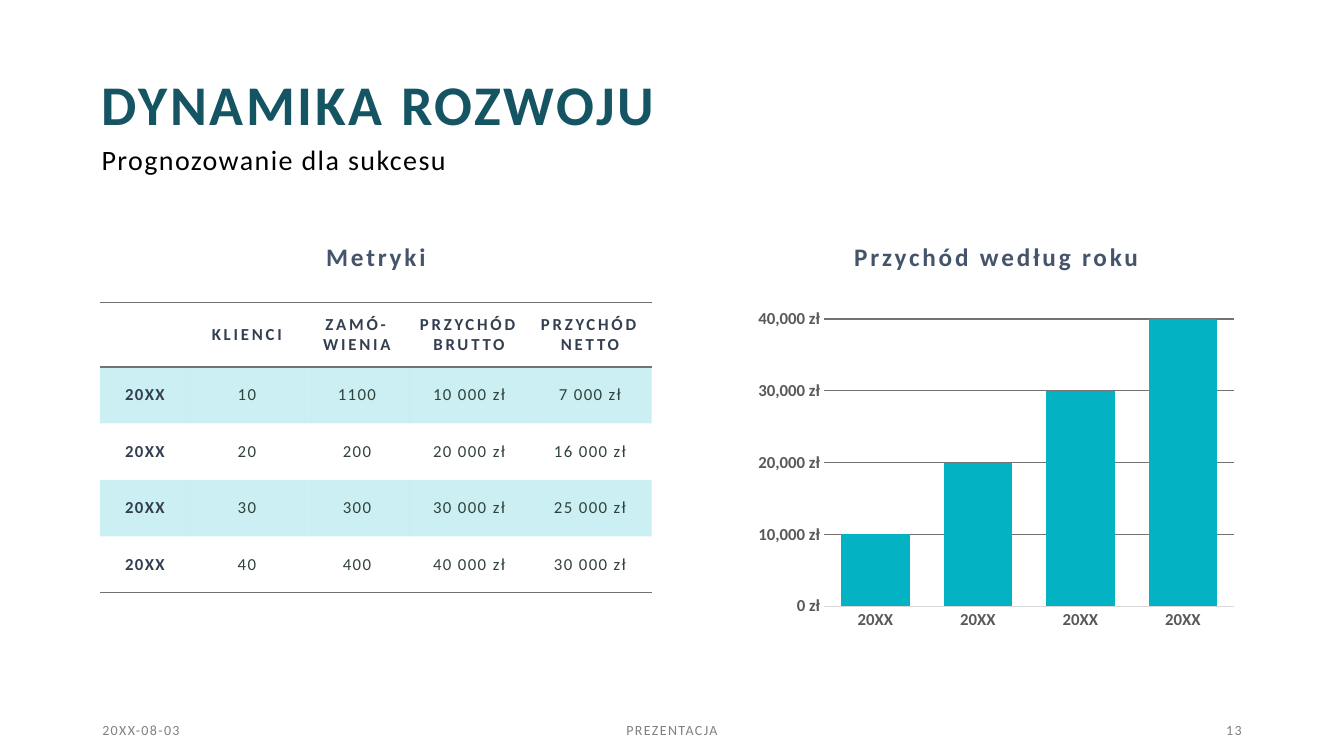
import pptx
import pptx.chart.data
import pptx.dml.color
import pptx.enum.chart
import pptx.enum.text
import pptx.oxml
import pptx.oxml.ns
import pptx.util
from collections import namedtuple

RGB = pptx.dml.color.RGBColor
TEAL = RGB(0x04, 0xB3, 0xC3)
DARK_TEAL = RGB(0x15, 0x54, 0x63)
BLACK = RGB(0x00, 0x00, 0x00)
SLATE = RGB(0x44, 0x54, 0x6A)
NAVY = RGB(0x33, 0x3F, 0x50)
DARK_GREEN = RGB(0x30, 0x42, 0x3A)
RULE_GREY = RGB(0x76, 0x71, 0x71)
AXIS_GREY = RGB(0x59, 0x59, 0x59)
LIGHT_GREY = RGB(0xD9, 0xD9, 0xD9)
FOOTER_GREY = RGB(0x80, 0x80, 0x80)

FONT = "Calibri"
ALIGN = pptx.enum.text.PP_ALIGN
ANCHOR = pptx.enum.text.MSO_ANCHOR
Pt = pptx.util.Pt

# The page is a grid of 160 columns by 90 rows of square cells.
COLUMNS, ROWS = 160, 90
HEADING_ROWS = 5.9
HEADING_STEP = 7.5
Box = namedtuple("Box", "left top width height")

NO_GRID_STYLE = "{2D5ABB26-0587-4C30-8999-92F81FD0307C}"
COLUMN_WIDTHS = [10.7, 13.6, 12.6, 14.1, 14.7]
ROW_HEIGHTS = [7.7, 6.72, 6.72, 6.72, 6.72]
SIDE_MARGIN = 0.9
METRICS = [
    ["", "KLIENCI", "ZAMÓ-WIENIA", "PRZYCHÓD BRUTTO", "PRZYCHÓD NETTO"],
    ["20XX", "10", "1100", "10 000 zł", "7 000 zł"],
    ["20XX", "20", "200", "20 000 zł", "16 000 zł"],
    ["20XX", "30", "300", "30 000 zł", "25 000 zł"],
    ["20XX", "40", "400", "40 000 zł", "30 000 zł"],
]
REVENUE = [10000, 20000, 30000, 40000]


def cells(count):
    """Length of a number of grid cells."""
    return pptx.util.Inches(count / 12)


def style_font(font, size, color, bold=False):
    font.name = FONT
    font.size = Pt(size)
    font.bold = bold
    font.color.rgb = color


def write(frame, text, size, color, bold=False, spacing=1, align=ALIGN.LEFT):
    """Put one paragraph with letter spacing in points into a text frame."""
    para = frame.paragraphs[0]
    span = para.add_run()
    span.text = text
    span._r.get_or_add_rPr().set("spc", str(spacing * 100))
    para.alignment = align
    style_font(para.font, size, color, bold)
    return para


def place(shape, box, anchor):
    shape.left, shape.top, shape.width, shape.height = map(cells, box)
    frame = shape.text_frame
    frame.word_wrap = True
    frame.auto_size = pptx.enum.text.MSO_AUTO_SIZE.NONE
    frame.vertical_anchor = anchor
    return frame


def add_title_block(page, box):
    frame = place(page.shapes.title, box._replace(height=8.4), ANCHOR.MIDDLE)
    para = write(frame, "DYNAMIKA ROZWOJU", 40, DARK_TEAL, True, 2)
    para.line_spacing = 0.8

    subtitle_box = box._replace(top=box.top + 6.6, height=box.height - 6.6)
    frame = place(page.placeholders[2], subtitle_box, ANCHOR.TOP)
    para = write(frame, "Prognozowanie dla sukcesu", 20, BLACK)
    para.line_spacing = 1.25
    para.space_before = Pt(0)
    properties = para._p.get_or_add_pPr()
    properties.set("marL", "0")
    properties.set("indent", "0")
    bullet = pptx.oxml.parse_xml("<a:buNone %s/>" % pptx.oxml.ns.nsdecls("a"))
    properties.find(pptx.oxml.ns.qn("a:defRPr")).addprevious(bullet)


def add_heading(placeholder, box, text):
    frame = place(placeholder, box._replace(height=HEADING_ROWS), ANCHOR.TOP)
    para = write(frame, text, 18, SLATE, True, 2, ALIGN.CENTER)
    para.line_spacing = 0.9
    para.space_before = Pt(10)


def rule_cell(cell, sides):
    """Draw one-point rules on the given sides, in the order T, B."""
    properties = cell._tc.get_or_add_tcPr()
    for position, side in enumerate(sides):
        properties.insert(position, pptx.oxml.parse_xml(
            '<a:ln%s %s w="12700"><a:solidFill><a:srgbClr val="%s"/>'
            "</a:solidFill></a:ln%s>"
            % (side, pptx.oxml.ns.nsdecls("a"), RULE_GREY, side)))


def tint_cell(cell):
    cell.fill.solid()
    cell.fill.fore_color.rgb = TEAL
    color = cell._tc.tcPr.find(".//" + pptx.oxml.ns.qn("a:srgbClr"))
    color.append(pptx.oxml.parse_xml(
        '<a:alpha %s val="20000"/>' % pptx.oxml.ns.nsdecls("a")))


def add_metrics(page, box):
    add_heading(page.placeholders[1], box, "Metryki")
    table = page.shapes.add_table(
        len(METRICS), len(COLUMN_WIDTHS), cells(box.left),
        cells(box.top + HEADING_STEP), cells(box.width),
        cells(sum(ROW_HEIGHTS))).table
    table.first_row = table.horz_banding = False
    style = table._tbl.tblPr.find(pptx.oxml.ns.qn("a:tableStyleId"))
    style.text = NO_GRID_STYLE
    for column, width in zip(table.columns, COLUMN_WIDTHS):
        column.width = cells(width)
    for row, height in zip(table.rows, ROW_HEIGHTS):
        row.height = cells(height)

    last = len(METRICS) - 1
    for row_number, values in enumerate(METRICS):
        is_header = row_number == 0
        for column_number, value in enumerate(values):
            cell = table.cell(row_number, column_number)
            cell.vertical_anchor = ANCHOR.MIDDLE
            cell.margin_left = cell.margin_right = cells(SIDE_MARGIN)
            if value:
                bold = is_header or column_number == 0
                write(cell.text_frame, value, 12, NAVY if bold else DARK_GREEN,
                      bold, 2 if is_header else 1, ALIGN.CENTER)
            if row_number % 2:
                tint_cell(cell)
            else:
                cell.fill.background()
            rule_cell(cell, {0: "TB", last: "B"}.get(row_number, ""))


def add_revenue_chart(page, box):
    add_heading(page.placeholders[3], box, "Przychód według roku")
    data = pptx.chart.data.CategoryChartData()
    data.categories = ["20XX"] * len(REVENUE)
    data.add_series("Series 1", REVENUE)
    chart_box = box._replace(top=box.top + HEADING_STEP,
                             height=box.height - HEADING_STEP)
    chart = page.shapes.add_chart(
        pptx.enum.chart.XL_CHART_TYPE.COLUMN_CLUSTERED,
        *map(cells, chart_box), data).chart
    chart.has_title = chart.has_legend = False
    style_font(chart.font, 10, BLACK)
    chart.font.name = "Roboto"

    plot = chart.plots[0]
    plot.gap_width, plot.overlap = 50, -27
    plot.vary_by_categories = False
    fill = plot.series[0].format.fill
    fill.solid()
    fill.fore_color.rgb = TEAL

    years, amounts = chart.category_axis, chart.value_axis
    for axis in (years, amounts):
        axis.major_tick_mark = pptx.enum.chart.XL_TICK_MARK.NONE
        axis.minor_tick_mark = pptx.enum.chart.XL_TICK_MARK.NONE
        style_font(axis.tick_labels.font, 12, AXIS_GREY, True)
    amounts.minimum_scale, amounts.maximum_scale = 0, 40000
    amounts.major_unit = 10000
    amounts.tick_labels.number_format = '#,##0\\ "zł"'
    amounts.tick_labels.number_format_is_linked = False
    amounts.format.line.fill.background()
    amounts.has_major_gridlines = True
    for line, color in ((years.format.line, LIGHT_GREY),
                        (amounts.major_gridlines.format.line, RULE_GREY)):
        line.color.rgb = color
        line.width = Pt(0.75)


def add_footer(page, box):
    side = 36
    parts = [("20XX-08-03", 0, side, ALIGN.LEFT),
             ("PREZENTACJA", 42, box.width - 84, ALIGN.CENTER),
             ("13", box.width - side, side, ALIGN.RIGHT)]
    for text, offset, width, align in parts:
        part_box = box._replace(left=box.left + offset, width=width)
        shape = page.shapes.add_textbox(*map(cells, part_box))
        frame = place(shape, part_box, ANCHOR.MIDDLE)
        write(frame, text, 10, FOOTER_GREY, align=align)


def main():
    deck = pptx.Presentation()
    deck.slide_width, deck.slide_height = cells(COLUMNS), cells(ROWS)
    page = deck.slides.add_slide(deck.slide_layouts.get_by_name("Comparison"))
    add_title_block(page, Box(10.9, 8.8, 76.6, 13.7))
    add_metrics(page, Box(11.9, 28.5, 65.7, 42.1))
    add_revenue_chart(page, Box(89.1, 28.5, 59, 47.3))
    add_footer(page, Box(11, 85.6, 138, 2.6))
    unused = page.placeholders[4].element
    unused.getparent().remove(unused)
    deck.save("out.pptx")


if __name__ == "__main__":
    main()
